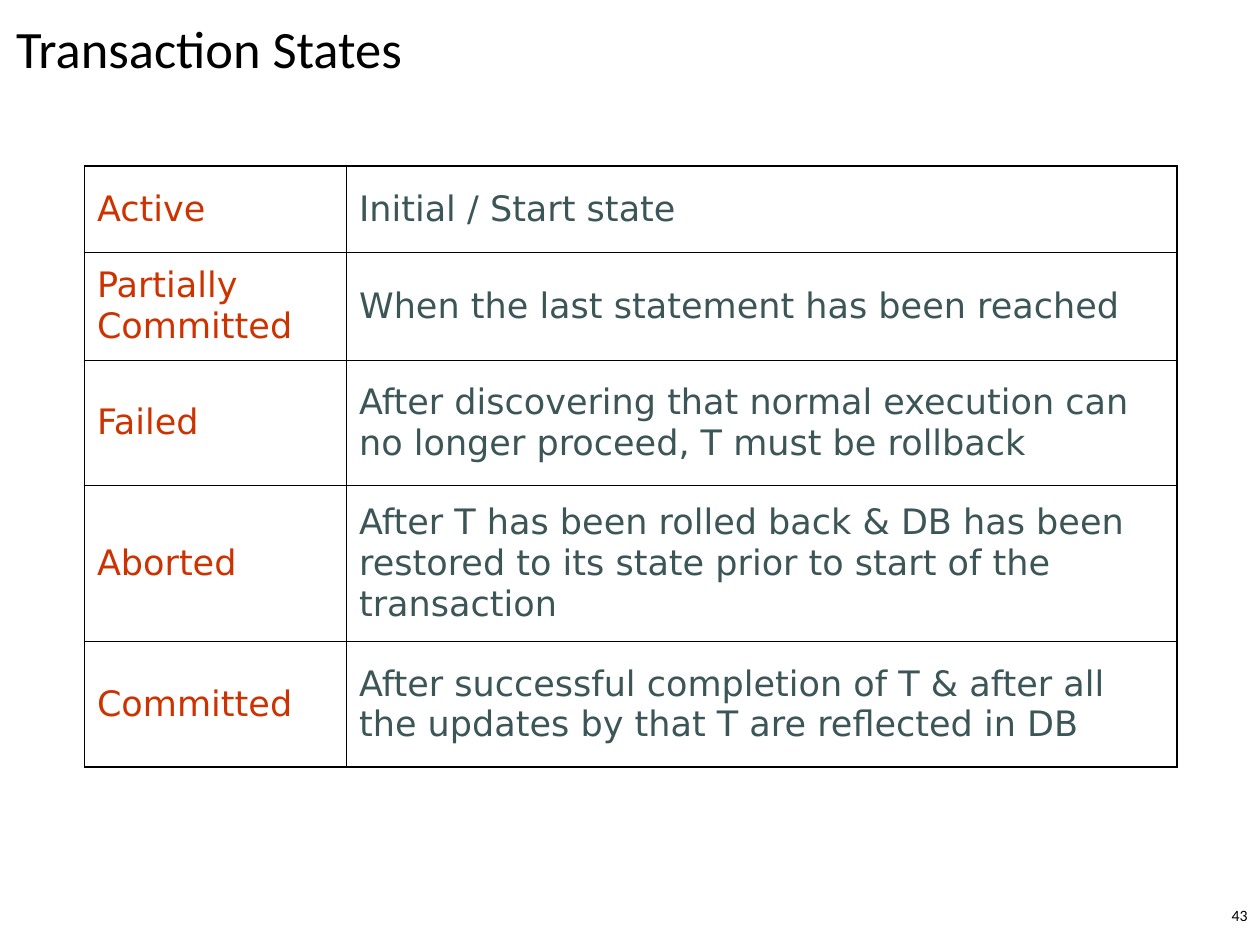
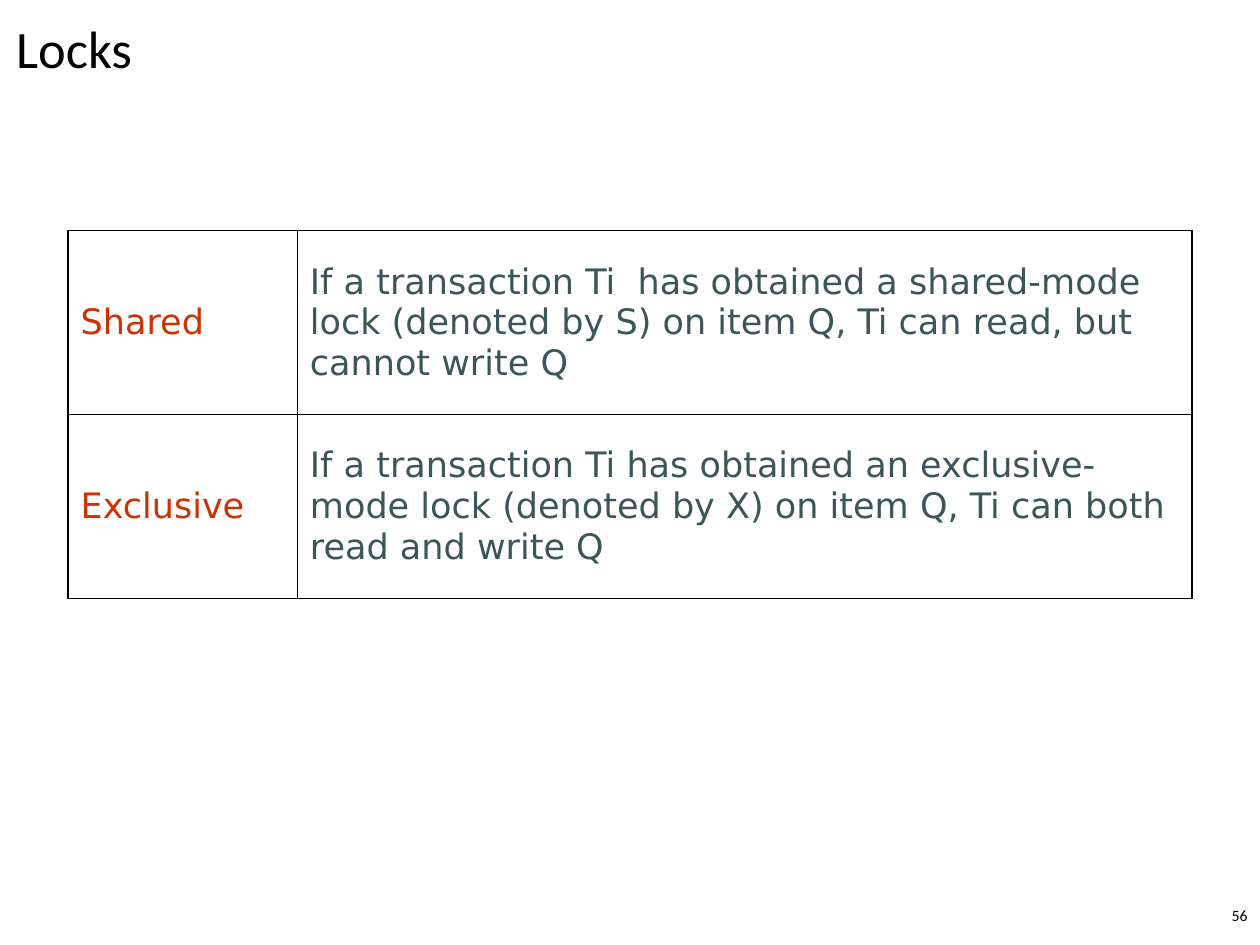
from lxml.etree import SubElement
from pptx import Presentation
from pptx.dml.color import RGBColor
from pptx.enum.text import MSO_ANCHOR, PP_ALIGN
from pptx.oxml.ns import qn
from pptx.util import Inches, Pt

COLORS = {"ink": "000000", "state": "CC3300", "meaning": "3C5658"}
FONTS = {"heading": "Calibri", "table": "DejaVu Sans"}
OUTER_RULE, INNER_RULE = Pt(1.08), Pt(0.45)

TITLE = {"box": (0.03, 0.17, 7.31, 0.47), "size": 30,
         "paragraph": {"line_spacing": 0.9, "alignment": PP_ALIGN.LEFT}}
PAGE_NUMBER = {"box": (9.67, 7.14, 0.33, 0.25), "size": 9,
               "paragraph": {"alignment": PP_ALIGN.RIGHT}}

SLIDES = [
    {
        "title": "Transaction States",
        "page": "43",
        "origin": (0.67, 1.32),
        "columns": (2.08, 6.59),
        "heights": (0.68, 0.86, 0.99, 1.24, 1),
        "spaced_rows": (2, 3),
        "definitions": [
            ("Active", "Initial / Start state"),
            ("Partially Committed", "When the last statement has been reached"),
            ("Failed", "After discovering that normal execution can no longer "
                       "proceed, T must be rollback"),
            ("Aborted", "After T has been rolled back & DB has been restored "
                        "to its state prior to start of the transaction"),
            ("Committed", "After successful completion of T & after all the "
                          "updates by that T are reflected in DB"),
        ],
    },
    {
        "title": "Locks",
        "page": "56",
        "origin": (0.54, 1.83),
        "columns": (1.82, 7.1),
        "heights": (1.46, 1.46),
        "spaced_rows": (),
        "definitions": [
            ("Shared", "If a transaction Ti  has obtained a shared-mode lock "
                       "(denoted by S) on item Q, Ti can read, but cannot write Q"),
            ("Exclusive", "If a transaction Ti has obtained an exclusive-mode lock "
                          "(denoted by X) on item Q, Ti can both read and write Q"),
        ],
    },
]


def apply_format(target, values):
    for attribute, value in values.items():
        setattr(target, attribute, value)


def write_text(paragraph, text, font, size, color, layout):
    apply_format(paragraph, layout)
    run = paragraph.add_run()
    run.text = text
    apply_format(run.font, {"name": font, "size": Pt(size), "bold": False})
    run.font.color.rgb = RGBColor.from_string(COLORS[color])


def add_label(slide, text, style):
    frame = slide.shapes.add_textbox(*map(Inches, style["box"])).text_frame
    apply_format(frame, {"word_wrap": True, "vertical_anchor": MSO_ANCHOR.MIDDLE})
    write_text(frame.paragraphs[0], text, FONTS["heading"], style["size"],
               "ink", style["paragraph"])


def draw_borders(cell, outer_sides):
    properties = cell._tc.get_or_add_tcPr()
    for index, side in enumerate("LRTB"):
        width = OUTER_RULE if side in outer_sides else INNER_RULE
        border = SubElement(properties, qn(f"a:ln{side}"), w=str(int(width)))
        fill = SubElement(border, qn("a:solidFill"))
        SubElement(fill, qn("a:srgbClr"), val=COLORS["ink"])
        properties.insert(index, border)


def add_definition_table(slide, content):
    columns, heights = content["columns"], content["heights"]
    extent = (sum(columns), sum(heights))
    table = slide.shapes.add_table(
        len(heights), len(columns), *map(Inches, content["origin"] + extent)).table
    apply_format(table, {"first_row": False, "horz_banding": False})
    for column, width in zip(table.columns, columns):
        column.width = Inches(width)
    for row, height in zip(table.rows, heights):
        row.height = Inches(height)

    for row, definition in enumerate(content["definitions"]):
        for column, (text, color) in enumerate(zip(definition, ("state", "meaning"))):
            cell = table.cell(row, column)
            cell.vertical_anchor = MSO_ANCHOR.MIDDLE
            cell.fill.background()
            spaced = color == "meaning" and row in content["spaced_rows"]
            write_text(cell.text_frame.paragraphs[0], text, FONTS["table"], 20,
                       color, {"space_before": Pt(10 if spaced else 5)})
            outer_sides = "L" if column == 0 else "R"
            if row == 0:
                outer_sides += "T"
            if row == len(heights) - 1:
                outer_sides += "B"
            draw_borders(cell, outer_sides)


def main():
    deck = Presentation()
    apply_format(deck, {"slide_width": Inches(10), "slide_height": Inches(7.5)})
    for content in SLIDES:
        slide = deck.slides.add_slide(deck.slide_layouts[6])
        add_label(slide, content["title"], TITLE)
        add_definition_table(slide, content)
        add_label(slide, content["page"], PAGE_NUMBER)
    deck.save("out.pptx")


if __name__ == "__main__":
    main()
